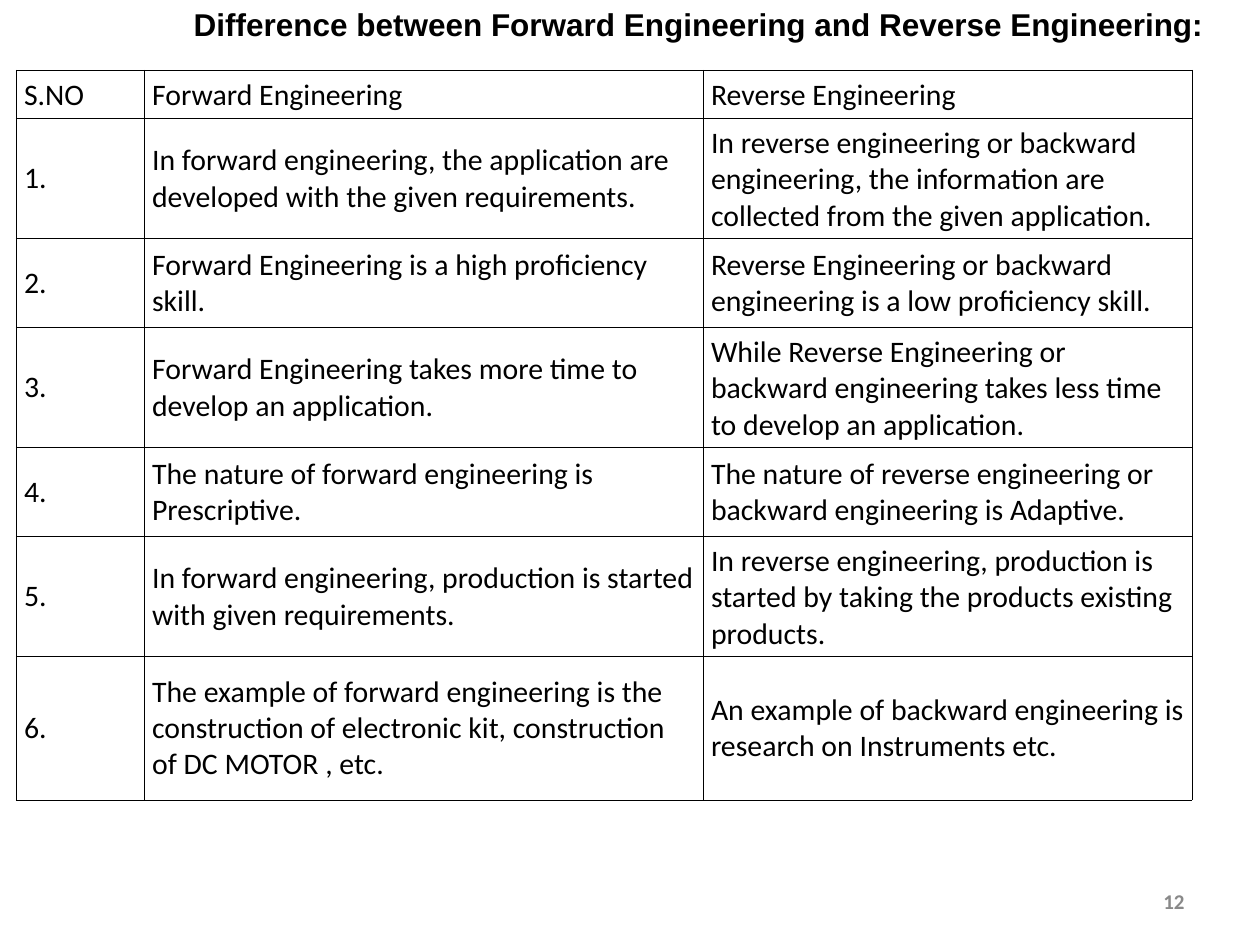
from lxml import etree
from pptx import Presentation
from pptx.dml.color import RGBColor
from pptx.enum.text import MSO_ANCHOR as Anchor, MSO_AUTO_SIZE as Fit, PP_ALIGN as Align
from pptx.oxml.ns import qn
from pptx.util import Pt

ROWS = [
    ("S.NO", "Forward Engineering", "Reverse Engineering"),
    ("1.", "In forward engineering, the application are developed with the given requirements.",
     "In reverse engineering or backward engineering, the information are collected "
     "from the given application."),
    ("2.", "Forward Engineering is a high proficiency skill.",
     "Reverse Engineering or backward engineering is a low proficiency skill."),
    ("3.", "Forward Engineering takes more time to develop an application.",
     "While Reverse Engineering or backward engineering takes less time to develop "
     "an application."),
    ("4.", "The nature of forward engineering is Prescriptive.",
     "The nature of reverse engineering or backward engineering is Adaptive."),
    ("5.", "In forward engineering, production is started with given requirements.",
     "In reverse engineering, production is started by taking the products existing "
     "products."),
    ("6.", "The example of forward engineering is the construction of electronic kit, "
     "construction of DC MOTOR , etc.",
     "An example of backward engineering is research on Instruments etc."),
]
WIDTHS = (73.2, 319.4, 279.4)
HEIGHTS = (25.2, 67, 51, 66.5, 51, 66.5, 82)


def color(code):
    """Turn a hex string into a colour."""
    return RGBColor.from_string(code)


def style(para, face, size, code, bold=False, align=Align.LEFT):
    """Set the font and alignment of a paragraph."""
    font = para.font
    font.name, font.size, font.bold = face, Pt(size), bold
    font.color.rgb = color(code)
    para.alignment = align


def border(cell, code, width):
    """Draw a thin line on all four sides of a cell."""
    props = cell._tc.get_or_add_tcPr()
    for place, side in enumerate(("a:lnL", "a:lnR", "a:lnT", "a:lnB")):
        line = etree.Element(qn(side), w=str(Pt(width)))
        fill = etree.SubElement(line, qn("a:solidFill"))
        etree.SubElement(fill, qn("a:srgbClr"), val=code)
        props.insert(place, line)


def add_title(slide, left, top, width, height):
    """Place the slide title in its box."""
    title = slide.shapes.title
    title.left, title.top, title.width, title.height = map(Pt, (left, top, width, height))
    frame = title.text_frame
    frame.text = "Difference between Forward Engineering and Reverse Engineering:"
    frame.word_wrap, frame.auto_size = True, Fit.NONE
    frame.vertical_anchor, frame.margin_top = Anchor.TOP, Pt(4.5)
    style(frame.paragraphs[0], "Arial", 18, "000000", bold=True)


def add_grid(slide, left, top):
    """Place the comparison table with its corner at left, top."""
    box = map(Pt, (left, top, sum(WIDTHS), sum(HEIGHTS)))
    table = slide.shapes.add_table(len(ROWS), len(WIDTHS), *box).table
    table.first_row = table.horz_banding = False
    for col, width in zip(table.columns, WIDTHS):
        col.width = Pt(width)
    for row, height, texts in zip(table.rows, HEIGHTS, ROWS):
        row.height = Pt(height)
        for cell, text in zip(row.cells, texts):
            cell.text = text
            cell.vertical_anchor = Anchor.MIDDLE
            cell.margin_left = cell.margin_right = Pt(4.5)
            cell.fill.background()
            border(cell, "000000", 0.45)
            style(cell.text_frame.paragraphs[0], "Calibri", 17, "000000")


def add_number(slide, left, top, width, height):
    """Place the slide number in its box."""
    frame = slide.shapes.add_textbox(*map(Pt, (left, top, width, height))).text_frame
    frame.text = "12"
    frame.word_wrap, frame.vertical_anchor = True, Anchor.MIDDLE
    style(frame.paragraphs[0], "Calibri", 12, "898989", bold=True, align=Align.RIGHT)


def main():
    """Build and save the slide."""
    deck = Presentation()
    deck.slide_width, deck.slide_height = Pt(720), Pt(540)
    slide = deck.slides.add_slide(deck.slide_layouts.get_by_name("Title Only"))
    add_number(slide, 516, 500.5, 168, 28.75)
    add_grid(slide, 9.25, 40.2)
    add_title(slide, 103.5, -1.5, 596.5, 50.5)
    deck.save("out.pptx")


if __name__ == "__main__":
    main()
